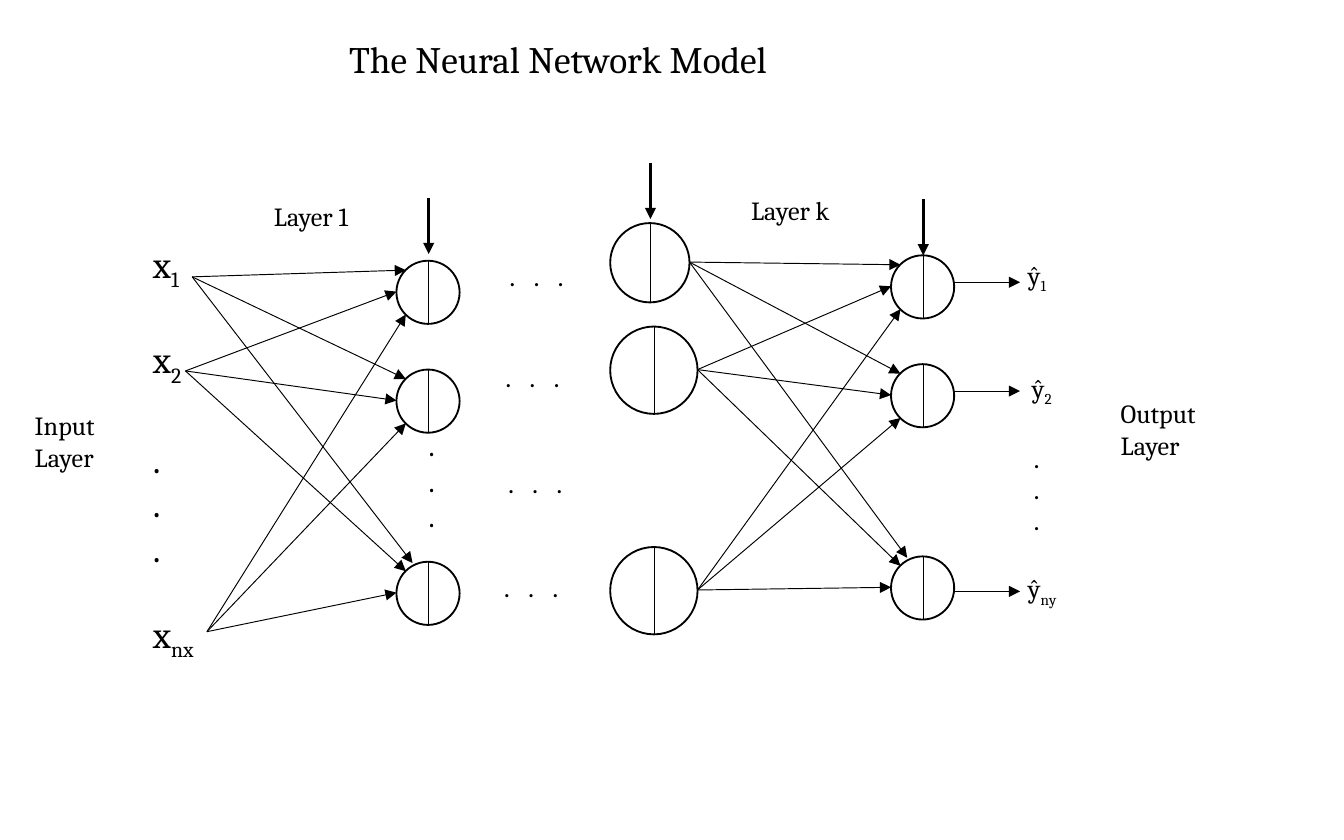
import pptx
import pptx.dml.color
import pptx.enum.shapes
import pptx.enum.text
import pptx.oxml.ns
import pptx.util
from lxml import etree

PX = 9144  # 100 px to the inch
BLACK = pptx.dml.color.RGBColor(0, 0, 0)
WHITE = pptx.dml.color.RGBColor(255, 255, 255)
SERIF, SANS = "Cambria", "Calibri"
NODE = 47

# Where an edge lands inside the box of its target: [source][target]
CORNER_TOP, SIDE, CORNER_BOTTOM = (7, 7), (0, 23), (7, 40)
LANDINGS = [
    [CORNER_TOP, CORNER_TOP, (12, 1)],
    [SIDE, SIDE, CORNER_TOP],
    [CORNER_BOTTOM, CORNER_BOTTOM, SIDE],
]


def add_child(parent, tag, **attributes):
    return etree.SubElement(parent, pptx.oxml.ns.qn(tag), attributes)


def add_line(slide, start, end, width=0.5, arrow=True):
    line = slide.shapes.add_connector(
        pptx.enum.shapes.MSO_CONNECTOR.STRAIGHT,
        *[value * PX for value in (*start, *end)])
    line.line.color.rgb = BLACK
    line.line.width = pptx.util.Pt(width)
    if arrow:
        add_child(line.line._get_or_add_ln(), "a:tailEnd", type="triangle")
    add_child(line._element.spPr, "a:effectLst")


def add_text(slide, box, lines, size=14, font=SERIF, pitch=None, gaps=(), tabs=()):
    """Each line is a string or a (base, subscript) pair."""
    shape = slide.shapes.add_textbox(*[value * PX for value in box])
    frame = shape.text_frame
    frame.word_wrap = True
    for index, line in enumerate(lines):
        paragraph = frame.paragraphs[0] if index == 0 else frame.add_paragraph()
        if pitch:
            paragraph.line_spacing = pptx.util.Pt(pitch)
        if gaps:
            paragraph.space_before = pptx.util.Pt(gaps[index])
        if tabs:
            tab_list = add_child(paragraph._p.get_or_add_pPr(), "a:tabLst")
            for stop in tabs:
                add_child(tab_list, "a:tab", pos=str(stop * PX), algn="l")
        paragraph.font.size = pptx.util.Pt(size)
        paragraph.font.name = font
        paragraph.font.color.rgb = BLACK
        if isinstance(line, str):
            paragraph.text = line
        else:
            base, subscript = line
            paragraph.add_run().text = base
            run = paragraph.add_run()
            run.text = subscript
            run._r.get_or_add_rPr().set("baseline", "-25000")


def add_layer(slide, left, circles, bias_gap):
    """Circles are (top, size) pairs; a bias arrow points at the first."""
    for top, size in circles:
        circle = slide.shapes.add_shape(
            pptx.enum.shapes.MSO_SHAPE.OVAL,
            left * PX, top * PX, size * PX, size * PX)
        circle.shadow.inherit = False
        circle.fill.solid()
        circle.fill.fore_color.rgb = WHITE
        circle.line.color.rgb = BLACK
        circle.line.width = pptx.util.Pt(1)
        middle = left + (size + 1) // 2
        add_line(slide, (middle, top), (middle, top + size), arrow=False)
    top, size = circles[0]
    middle, tip = left + (size + 1) // 2, top - bias_gap
    add_line(slide, (middle, tip - 42), (middle, tip), width=1.5)


def add_edges(slide, sources, left, circles):
    for source, landings in zip(sources, LANDINGS):
        for (top, _), (x, y) in zip(circles, landings):
            add_line(slide, source, (left + x, top + y))


def add_inputs(slide, left, top):
    add_text(slide, (left, top, 60, 325),
             [("x", "1"), ("x", "2"), ".", ".", ".", ("x", "nx")],
             size=20, pitch=24, gaps=(0, 27, 26, 0, 0, 25))


def add_ellipsis_rows(slide, left, rows):
    for shift, top in rows:
        add_text(slide, (left + shift, top, 94, 34), [".\t.\t."],
                 font=SANS, tabs=(18, 36))


def add_outputs(slide, left, rows):
    """Rows are (arrow height, label shift, label top, subscript)."""
    for y, shift, top, subscript in rows:
        add_line(slide, (left, y), (left + 49, y))
        add_text(slide, (left + 45 + shift, top, 50, 34), [("ŷ", subscript)])
    add_text(slide, (left + 49, 324, 34, 81), [".\n.\n."], font=SANS)


def add_captions(slide):
    add_text(slide, (250, 22, 344, 44), ["The Neural Network Model"], size=20)
    add_text(slide, (194, 144, 83, 34), ["Layer 1"])
    add_text(slide, (549, 140, 82, 34), ["Layer k"])
    add_text(slide, (16, 300, 75, 57), ["Input\nLayer"])
    add_text(slide, (824, 291, 85, 57), ["Output\nLayer"])


def main():
    presentation = pptx.Presentation()
    presentation.slide_width = 1000 * PX
    presentation.slide_height = 625 * PX
    slide = presentation.slides.add_slide(presentation.slide_layouts[6])

    first_left, hidden_left, last_left = 295, 454, 663
    first = [(top, NODE) for top in (194, 275, 418)]
    hidden = [(166, 59), (243, 65), (407, 65)]
    last = [(top, NODE) for top in (190, 271, 414)]

    # Edges lie behind the nodes
    add_edges(slide, [(143, 206), (138, 276), (154, 470)], first_left, first)
    hidden_sides = [(hidden_left + size, top + size // 2) for top, size in hidden]
    add_edges(slide, hidden_sides, last_left, last)

    # Nodes
    add_layer(slide, first_left, first, bias_gap=5)
    add_layer(slide, hidden_left, hidden, bias_gap=3)
    add_layer(slide, last_left, last, bias_gap=0)

    # Inputs, ellipses and outputs
    add_inputs(slide, 104, 179)
    add_text(slide, (309, 313, 25, 90), [".", ".", "."], size=16, pitch=19)
    add_ellipsis_rows(slide, 365, [(4, 189), (1, 264), (3, 343), (0, 420)])
    add_outputs(slide, last_left + NODE, [
        (210, 0, 188, "1"), (291, 3, 272, "2"), (440, 0, 421, "ny")])

    add_captions(slide)
    presentation.save("out.pptx")


if __name__ == "__main__":
    main()
